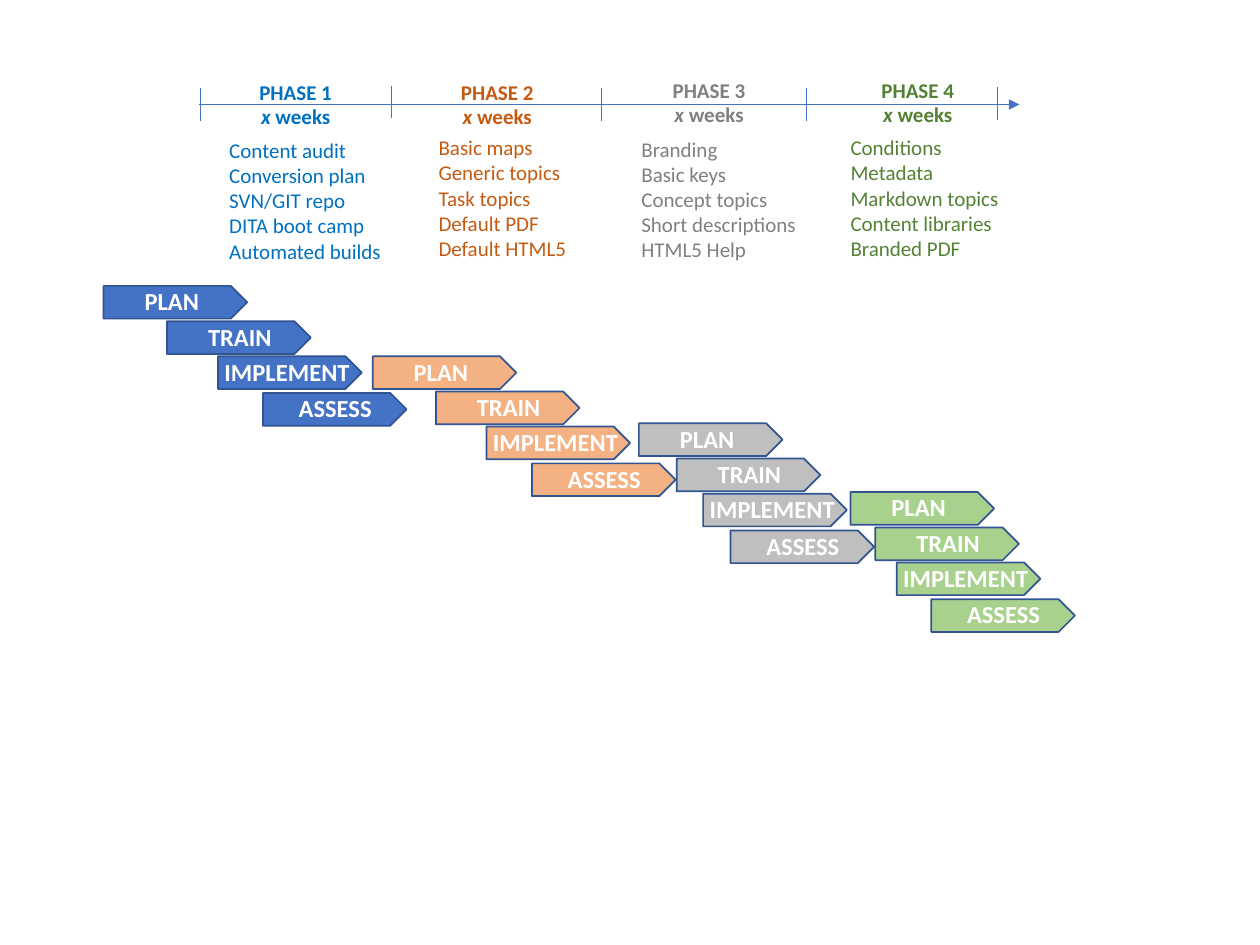
from dataclasses import dataclass

from lxml import etree
from pptx import Presentation
from pptx.dml.color import RGBColor
from pptx.enum import shapes, text
from pptx.oxml import ns
from pptx.util import Pt

FONT = "Calibri"
BLUE = RGBColor(0x44, 0x72, 0xC4)
OUTLINE = RGBColor(0x32, 0x54, 0x91)
WHITE = RGBColor(0xFF, 0xFF, 0xFF)

# Stage: label, drop from the first arrow, label inset, label width (points)
STAGES = [
    ("PLAN", 0, 16.3, 46),
    ("TRAIN", 20.2, 16.3, 51),
    ("IMPLEMENT", 40.2, -3.4, 86.4),
    ("ASSESS", 61.2, 13.3, 57),
]
ARROW_WIDTH, ARROW_HEIGHT = 82.1, 18.7
LABEL_RISE, LABEL_HEIGHT = 3.4, 24.5


@dataclass
class Phase:
    name: str
    ink: RGBColor
    fill: RGBColor
    heading: tuple  # left, top
    topics_box: tuple  # left, top, width, height
    topics: list
    cascade_top: float
    arrow_lefts: list


PHASES = [
    Phase("PHASE 1", RGBColor(0x00, 0x70, 0xC0), BLUE, (141.1, 41.8),
          (123.8, 74.9, 102, 80),
          ["Content audit", "Conversion plan", "SVN/GIT repo",
           "DITA boot camp", "Automated builds"],
          163.4, [59.2, 95.5, 124.6, 150.3]),
    Phase("PHASE 2", RGBColor(0xC5, 0x5A, 0x11), RGBColor(0xF4, 0xB1, 0x83),
          (256.3, 41.8), (243.4, 73.4, 96.5, 80),
          ["Basic maps", "Generic topics", "Task topics",
           "Default PDF", "Default HTML5"],
          203.6, [213, 249.1, 278, 304]),
    Phase("PHASE 3", RGBColor(0x80, 0x80, 0x80), RGBColor(0xBF, 0xBF, 0xBF),
          (377.3, 41), (359.3, 74.2, 103, 80),
          ["Branding", "Basic keys", "Concept topics",
           "Short descriptions HTML5 Help"],
          241.9, [365.1, 386.7, 401.8, 417.5]),
    Phase("PHASE 4", RGBColor(0x54, 0x82, 0x35), RGBColor(0xA9, 0xD1, 0x8E),
          (496.6, 41), (478.8, 73.4, 103, 94.3),
          ["Conditions", "Metadata", "Markdown topics",
           "Content libraries", "Branded PDF"],
          281.2, [486, 500.2, 512.4, 532.2]),
]


def add_run(paragraph, words, size, color, bold=False, italic=False):
    run = paragraph.add_run()
    run.text = words
    font = run.font
    font.name, font.size, font.bold, font.italic = FONT, Pt(size), bold, italic
    font.color.rgb = color


def add_line(slide, x1, y1, x2, y2, arrowhead=False):
    line = slide.shapes.add_connector(
        shapes.MSO_CONNECTOR.STRAIGHT, Pt(x1), Pt(y1), Pt(x2), Pt(y2))
    line.line.color.rgb = BLUE
    line.line.width = Pt(0.5)
    if arrowhead:
        etree.SubElement(line.line._get_or_add_ln(), ns.qn("a:tailEnd"),
                         type="triangle")
    etree.SubElement(line._element.spPr, ns.qn("a:effectLst"))


def add_text_frame(slide, left, top, width, height, wrap=True):
    box = slide.shapes.add_textbox(Pt(left), Pt(top), Pt(width), Pt(height))
    box.text_frame.word_wrap = wrap
    return box.text_frame


def draw_timeline(slide, left, top, width, height):
    middle = top + height / 2
    add_line(slide, left, middle, left + width, middle, arrowhead=True)
    # Phase boundaries, measured from the start of the axis
    for offset, rise in [(0.7, 0), (110.1, 1.4), (229.7, 0), (347, 0), (456.4, 0.7)]:
        x = left + offset
        add_line(slide, x, top - rise, x, top - rise + height)


def draw_heading(slide, phase, left, top):
    name = add_text_frame(slide, left, top, 60.5, 21.6)
    add_run(name.paragraphs[0], phase.name, 12, phase.ink, bold=True)

    duration = add_text_frame(slide, left + 1, top + 7.9, 59.8, 28.8)
    duration.margin_top = Pt(9.3)
    add_run(duration.paragraphs[0], "x", 12, phase.ink, bold=True, italic=True)
    add_run(duration.paragraphs[0], " weeks", 12, phase.ink, bold=True)


def fill_topics(placeholder, phase, left, top, width, height):
    placeholder.left, placeholder.top = Pt(left), Pt(top)
    placeholder.width, placeholder.height = Pt(width), Pt(height)
    frame = placeholder.text_frame
    frame.word_wrap = True
    frame.auto_size = text.MSO_AUTO_SIZE.NONE
    frame.vertical_anchor = text.MSO_ANCHOR.TOP
    for index, topic in enumerate(phase.topics):
        paragraph = frame.add_paragraph() if index else frame.paragraphs[0]
        properties = paragraph._p.get_or_add_pPr()
        properties.set("marL", "0")
        properties.set("indent", "0")
        etree.SubElement(properties, ns.qn("a:buNone"))
        paragraph.space_before = Pt(0)
        add_run(paragraph, topic, 12, phase.ink)


def draw_cascade(slide, phase, top):
    for left, (label, drop, inset, width) in zip(phase.arrow_lefts, STAGES):
        arrow = slide.shapes.add_shape(
            shapes.MSO_SHAPE.PENTAGON, Pt(left), Pt(top + drop),
            Pt(ARROW_WIDTH), Pt(ARROW_HEIGHT))
        arrow.shadow.inherit = False
        arrow.fill.solid()
        arrow.fill.fore_color.rgb = phase.fill
        arrow.line.color.rgb = OUTLINE
        arrow.line.width = Pt(1)

        caption = add_text_frame(slide, left + inset, top + drop - LABEL_RISE,
                                 width, LABEL_HEIGHT, wrap=False)
        add_run(caption.paragraphs[0], label, 14, WHITE, bold=True)


def main():
    deck = Presentation()
    deck.slide_width, deck.slide_height = Pt(720), Pt(540)
    # The comparison layout offers four body placeholders, one per phase
    slide = deck.slides.add_slide(deck.slide_layouts.get_by_name("Comparison"))
    title = slide.shapes.title._element
    title.getparent().remove(title)

    draw_timeline(slide, 113.8, 50.4, 468.7, 18.7)
    for index, phase in enumerate(PHASES, start=1):
        draw_heading(slide, phase, *phase.heading)
        fill_topics(slide.placeholders[index], phase, *phase.topics_box)
        draw_cascade(slide, phase, phase.cascade_top)
    deck.save("out.pptx")


if __name__ == "__main__":
    main()
